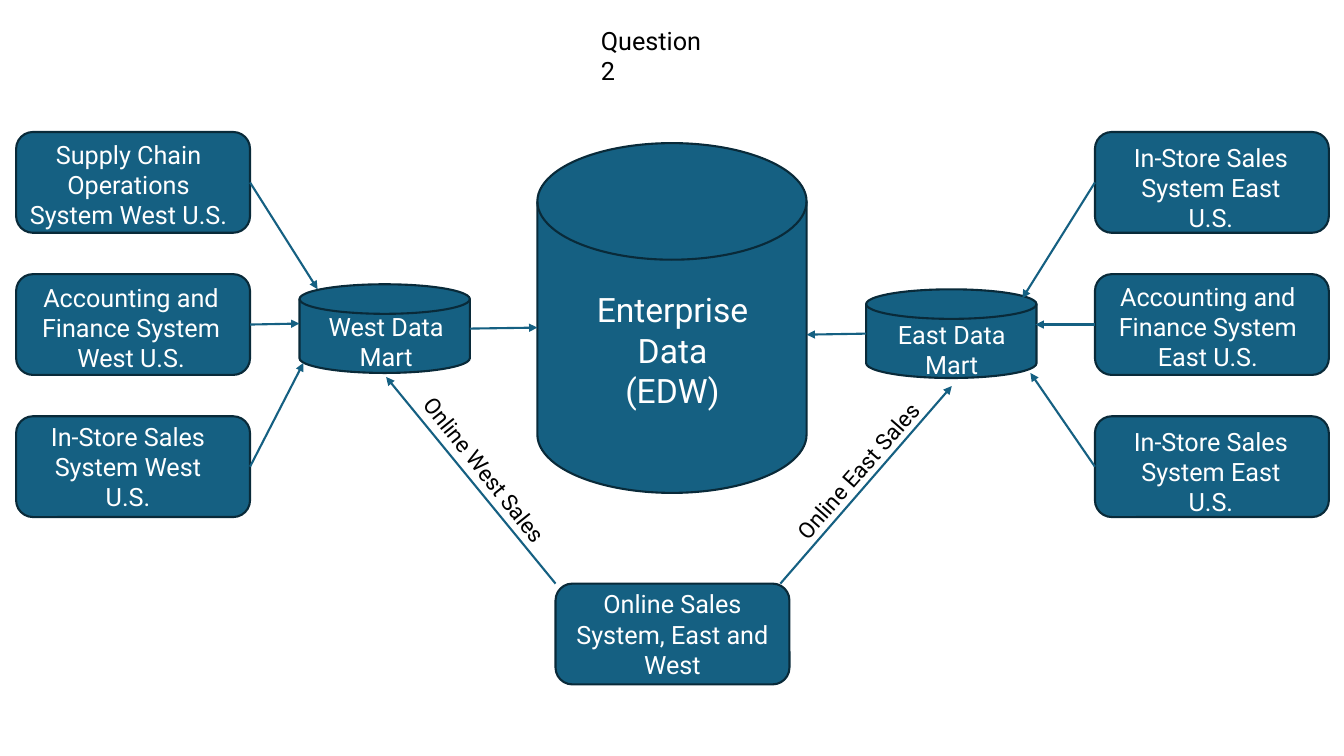
from lxml import etree
from pptx import Presentation
from pptx import util as u
from pptx.dml.color import RGBColor
from pptx.enum import shapes, text
from pptx.oxml import ns

TEAL = RGBColor(0x15, 0x60, 0x82)
DARK_TEAL = RGBColor(0x09, 0x2A, 0x39)
WHITE = RGBColor(0xFF, 0xFF, 0xFF)
BLACK = RGBColor(0, 0, 0)
FONT = "Roboto"

SYSTEM_W, SYSTEM_H = 2.32, 1.0
WEST_X, ONLINE_X, EAST_X = 0.16, 5.51, 10.86
ROW_TOPS = [1.31 + 1.41 * row for row in range(3)]
ONLINE_Y = 5.79
MART_W, MART_H = 1.69, 0.88
WEST_EDGE = WEST_X + SYSTEM_W

prs = Presentation()
prs.slide_width, prs.slide_height = u.Inches(13.33), u.Inches(7.5)
slide = prs.slides.add_slide(prs.slide_layouts[5])


def place(kind, left, top, width, height):
    node = slide.shapes.add_shape(kind, *map(u.Inches, (left, top, width, height)))
    node.shadow.inherit = False
    node.fill.solid()
    node.fill.fore_color.rgb = TEAL
    node.line.color.rgb = DARK_TEAL
    node.line.width = u.Pt(1.5)
    return node


def write(holder, lines, size=18, color=WHITE, align=text.PP_ALIGN.CENTER,
          anchor=text.MSO_ANCHOR.TOP):
    """Fill a shape's text frame, one paragraph per line."""
    frame = holder.text_frame
    frame.word_wrap = True
    frame.auto_size = text.MSO_AUTO_SIZE.NONE
    frame.vertical_anchor = anchor
    for index, line in enumerate(lines):
        paragraph = frame.add_paragraph() if index else frame.paragraphs[0]
        paragraph.alignment = align
        run = paragraph.add_run()
        run.text = line
        run.font.name, run.font.size = FONT, u.Pt(size)
        run.font.color.rgb = color


# Title
title = slide.shapes.title
title.left, title.top, title.width, title.height = map(u.Inches, (5.86, 0.2, 1.39, 0.4))
write(title, ["Question 2"], color=BLACK, align=text.PP_ALIGN.LEFT)

# Warehouse and its two data marts
disk = shapes.MSO_SHAPE.FLOWCHART_MAGNETIC_DISK
place(disk, 8.59, 2.87, MART_W, MART_H)
place(disk, 2.97, 2.82, MART_W, MART_H)
place(disk, 5.33, 1.42, 2.67, 3.47)

# Source systems
process = shapes.MSO_SHAPE.FLOWCHART_ALTERNATE_PROCESS
for column in (WEST_X, EAST_X):
    for top in ROW_TOPS:
        place(process, column, top, SYSTEM_W, SYSTEM_H)
online = place(process, ONLINE_X, ONLINE_Y, SYSTEM_W, SYSTEM_H)
write(online, ["Online Sales System, East and West"], anchor=text.MSO_ANCHOR.MIDDLE)

# Data flows, each ending in an arrowhead
row_middles = [top + SYSTEM_H / 2 for top in ROW_TOPS]
west_targets = [(3.15, 2.87), (2.97, 3.21), (3.01, 3.6)]
east_targets = [(10.14, 2.96), (10.27, 3.22), (10.22, 3.7)]
flows = [((4.66, 3.26), (5.33, 3.25)),
         ((8.59, 3.31), (8.0, 3.32)),
         ((ONLINE_X, ONLINE_Y), (3.83, 3.74)),
         ((7.74, ONLINE_Y), (9.44, 3.83))]
for middle, west, east in zip(row_middles, west_targets, east_targets):
    flows += [((WEST_EDGE, middle), west), ((EAST_X, middle), east)]

for start, end in flows:
    flow = slide.shapes.add_connector(shapes.MSO_CONNECTOR.STRAIGHT,
                                      *map(u.Inches, start + end))
    flow.line.color.rgb = TEAL
    flow.line.width = u.Pt(1.5)
    etree.SubElement(flow.line._get_or_add_ln(), ns.qn("a:tailEnd"), type="triangle")
    etree.SubElement(flow._element.spPr, ns.qn("a:effectLst"))

# Labels on the stores and systems: left, top, width, height, size, lines
labels = [
    (5.73, 2.82, 1.88, 1.31, 24, ["Enterprise Data", "(EDW)"]),
    (3.12, 3.04, 1.42, 0.71, 18, ["West Data Mart"]),
    (8.66, 3.12, 1.56, 0.71, 18, ["East Data Mart"]),
    (0.15, 1.33, 2.25, 1.01, 18, ["Supply Chain Operations System West U.S."]),
    (0.25, 2.75, 2.1, 1.01, 18, ["Accounting and Finance System West U.S."]),
    (0.27, 4.13, 2.0, 1.01, 18, ["In-Store Sales System West U.S."]),
    (11.01, 1.36, 2.0, 1.01, 18, ["In-Store Sales System East U.S."]),
    (10.93, 2.74, 2.1, 1.01, 18, ["Accounting and Finance System East U.S."]),
    (11.01, 4.18, 2.0, 1.01, 18, ["In-Store Sales System East U.S."]),
]
for *bounds, size, lines in labels:
    write(slide.shapes.add_textbox(*map(u.Inches, bounds)), lines, size)

# Labels along the online sales flows
for caption, left, top, angle in [("Online West Sales", 3.79, 4.54, 51.4),
                                  ("Online East Sales", 7.52, 4.4, 311.3)]:
    flow_label = slide.shapes.add_textbox(*map(u.Inches, (left, top, 2.13, 0.37)))
    flow_label.rotation = angle
    write(flow_label, [caption], 16, BLACK, text.PP_ALIGN.LEFT)

prs.save("out.pptx")
